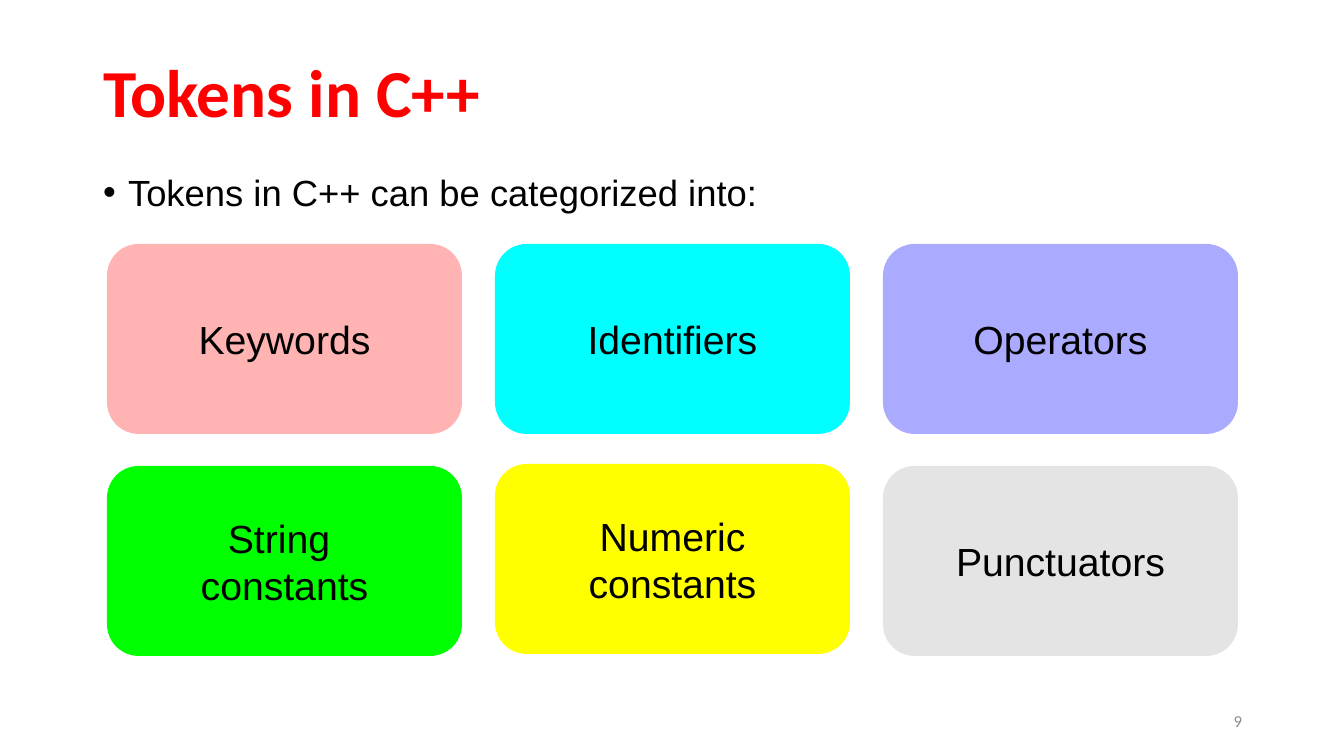
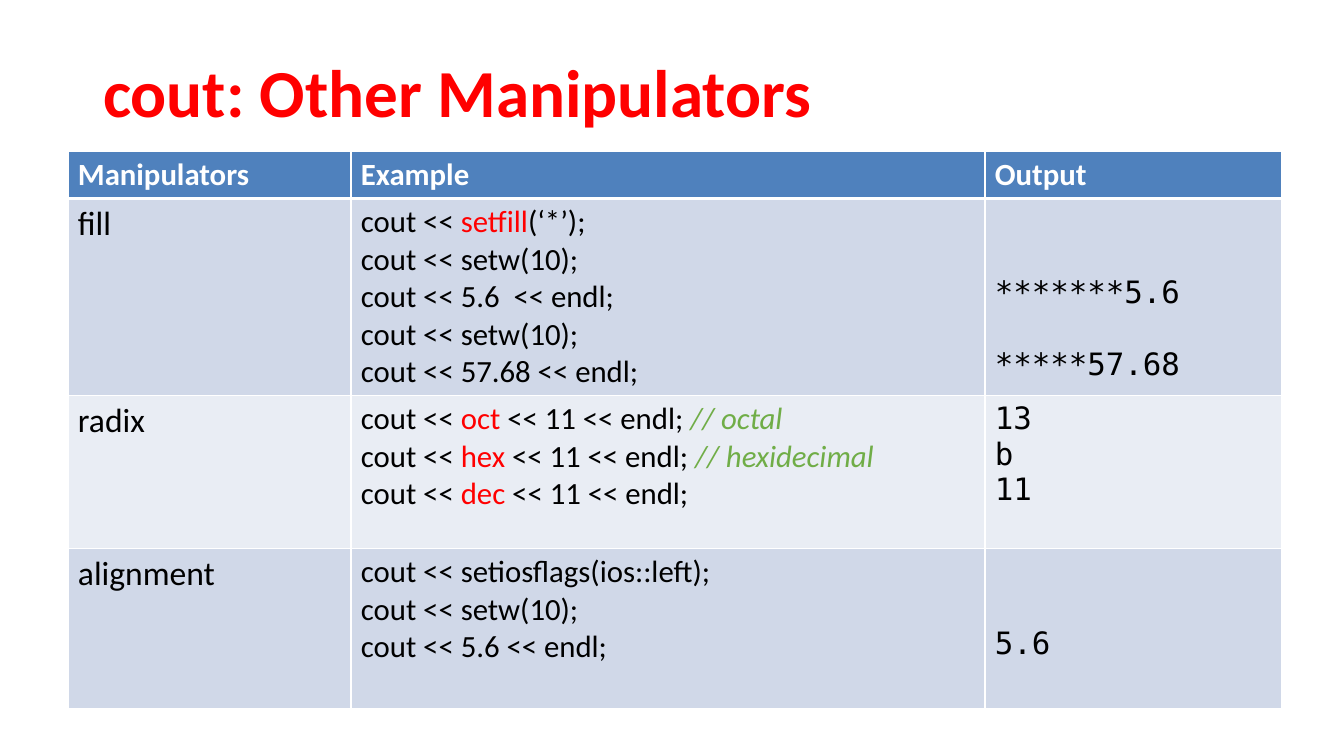
import pptx
import pptx.dml.color
import pptx.enum.shapes
import pptx.enum.text
import pptx.oxml.ns
import pptx.util
import lxml.etree


class Theme:
    sans, body, mono = "Calibri", "Arial", "DejaVu Sans Mono"
    title_size, body_size, token_size, number_size = 48, 26, 28, 12
    label_size, code_size = 24, 22
    red, black, white = "FF0000", "000000", "FFFFFF"
    gray, green = "8C8C8C", "70AD47"
    header_fill, band_fills = "4F81BD", ("D0D8E8", "E9EDF4")
    pink, cyan, lavender = "FFB3B3", "00FFFF", "AAAAFF"
    lime, yellow, silver = "00FF00", "FFFF00", "E4E4E4"


def px(count):
    return pptx.util.Emu(round(count * 914400 / 100.8))


def write(paragraph, text, size, color, face, bold=False, italic=False):
    run = paragraph.add_run()
    run.text = text
    run.font.name = face
    run.font.size = pptx.util.Pt(size)
    run.font.bold = bold
    run.font.italic = italic
    run.font.color.rgb = pptx.dml.color.RGBColor.from_string(color)


qn = pptx.oxml.ns.qn
rgb = pptx.dml.color.RGBColor.from_string
align = pptx.enum.text.PP_ALIGN
middle = pptx.enum.text.MSO_ANCHOR.MIDDLE
no_fit = pptx.enum.text.MSO_AUTO_SIZE.NONE

deck = pptx.Presentation()
deck.slide_width, deck.slide_height = px(1344), px(756)

slides = []
for heading, layout in (("Tokens in C++", 1), ("cout: Other Manipulators", 5)):
    slide = deck.slides.add_slide(deck.slide_layouts[layout])
    title = slide.shapes.title
    title.left, title.top, title.width, title.height = px(93), px(40), px(1159), px(111)
    title.text_frame.auto_size = no_fit
    title.text_frame.vertical_anchor = middle
    line = title.text_frame.paragraphs[0]
    line.alignment = align.LEFT
    line.line_spacing = 0.9
    write(line, heading, Theme.title_size, Theme.red, Theme.sans, bold=True)
    slides.append(slide)
tokens_slide, manipulators_slide = slides

intro = tokens_slide.placeholders[1]
intro.left, intro.top, intro.width, intro.height = px(93), px(165), px(1233), px(508)
intro.text_frame.auto_size = no_fit
line = intro.text_frame.paragraphs[0]
properties = line._p.get_or_add_pPr()
properties.set("marL", str(px(25)))
properties.set("indent", str(px(-25)))
lxml.etree.SubElement(properties, qn("a:buChar")).set("char", "•")
line.space_before = pptx.util.Pt(0)
write(line, "Tokens in C++ can be categorized into:", Theme.body_size, Theme.black, Theme.body)

page_number = tokens_slide.shapes.add_textbox(px(950), px(701), px(302), px(40))
page_number.text_frame.word_wrap = True
page_number.text_frame.vertical_anchor = middle
line = page_number.text_frame.paragraphs[0]
line.alignment = align.RIGHT
write(line, "9", Theme.number_size, Theme.gray, Theme.sans)

token_kinds = [
    (["Keywords"], Theme.pink, 0),
    (["Identifiers"], Theme.cyan, 0),
    (["Operators"], Theme.lavender, 0),
    (["String ", "constants"], Theme.lime, 0),
    (["Numeric constants"], Theme.yellow, -2),
    (["Punctuators"], Theme.silver, 0),
]
for index, (lines, color, nudge) in enumerate(token_kinds):
    row, column = divmod(index, 3)
    token = tokens_slide.shapes.add_shape(
        pptx.enum.shapes.MSO_SHAPE.ROUNDED_RECTANGLE,
        px(107 + 388 * column), px(244 + 222 * row + nudge), px(355), px(190))
    token.shadow.inherit = False
    token.fill.solid()
    token.fill.fore_color.rgb = rgb(color)
    token.line.fill.background()
    frame = token.text_frame
    frame.word_wrap = True
    frame.vertical_anchor = middle
    for number, text in enumerate(lines):
        line = frame.add_paragraph() if number else frame.paragraphs[0]
        line.alignment = align.CENTER
        write(line, text, Theme.token_size, Theme.black, Theme.body)

looks = {
    "header": dict(size=Theme.code_size, color=Theme.white, face=Theme.sans, bold=True),
    "label": dict(size=Theme.label_size, color=Theme.black, face=Theme.sans),
    "code": dict(size=Theme.code_size, color=Theme.black, face=Theme.sans),
    "key": dict(size=Theme.code_size, color=Theme.red, face=Theme.sans),
    "comment": dict(size=Theme.code_size, color=Theme.green, face=Theme.sans, italic=True),
    "output": dict(size=Theme.code_size, color=Theme.black, face=Theme.mono),
}
# Each line is (skipped lines above, runs).
manipulator_rows = [
    [[(0, [(text, "header")])] for text in ("Manipulators", "Example", "Output")],
    [
        [(0, [("fill", "label")])],
        [
            (0, [("cout << ", "code"), ("setfill", "key"), ("(‘*’);", "code")]),
            (0, [("cout << setw(10);", "code")]),
            (0, [("cout << 5.6  << endl;", "code")]),
            (0, [("cout << setw(10);", "code")]),
            (0, [("cout << 57.68 << endl;", "code")]),
        ],
        [(2, [("*******5.6", "output")]), (1, [("*****57.68", "output")])],
    ],
    [
        [(0, [("radix", "label")])],
        [
            (0, [("cout << ", "code"), ("oct ", "key"), ("<< 11 << endl; ", "code"),
                 ("// octal", "comment")]),
            (0, [("cout << ", "code"), ("hex", "key"), (" << 11 << endl; ", "code"),
                 ("// hexidecimal", "comment")]),
            (0, [("cout << ", "code"), ("dec ", "key"), ("<< 11 << endl;", "code")]),
        ],
        [(0, [(text, "output")]) for text in ("13", "b", "11")],
    ],
    [
        [(0, [("alignment", "label")])],
        [(0, [(text, "code")]) for text in (
            "cout << setiosflags(ios::left);", "cout << setw(10);", "cout << 5.6 << endl;")],
        [(2, [("5.6", "output")])],
    ],
]
column_widths = [283, 634, 297]
row_heights = [47, 197, 153, 160]
output_line = 36

manipulators = manipulators_slide.shapes.add_table(
    len(row_heights), len(column_widths), px(68), px(151),
    px(sum(column_widths)), px(sum(row_heights))).table
for column, width in zip(manipulators.columns, column_widths):
    column.width = px(width)
for row, height in zip(manipulators.rows, row_heights):
    row.height = px(height)

for row, cells in enumerate(manipulator_rows):
    for column, lines in enumerate(cells):
        cell = manipulators.cell(row, column)
        cell.margin_left = cell.margin_right = px(10)
        cell.margin_top = px(5 + output_line * lines[0][0])
        cell.margin_bottom = px(5)
        borders = cell._tc.get_or_add_tcPr()
        for side in ("lnL", "lnR", "lnT", "lnB"):
            thick = (row, side) in ((0, "lnB"), (1, "lnT"))
            edge = lxml.etree.SubElement(borders, qn("a:" + side))
            edge.set("w", str(pptx.util.Pt(3 if thick else 1)))
            paint = lxml.etree.SubElement(edge, qn("a:solidFill"))
            lxml.etree.SubElement(paint, qn("a:srgbClr")).set("val", Theme.white)
        cell.fill.solid()
        cell.fill.fore_color.rgb = rgb(
            Theme.band_fills[(row - 1) % 2] if row else Theme.header_fill)
        frame = cell.text_frame
        for number, (skipped, runs) in enumerate(lines):
            line = frame.add_paragraph() if number else frame.paragraphs[0]
            if number and skipped:
                line.space_before = px(output_line * skipped)
            for text, look in runs:
                write(line, text, **looks[look])

deck.save("out.pptx")
